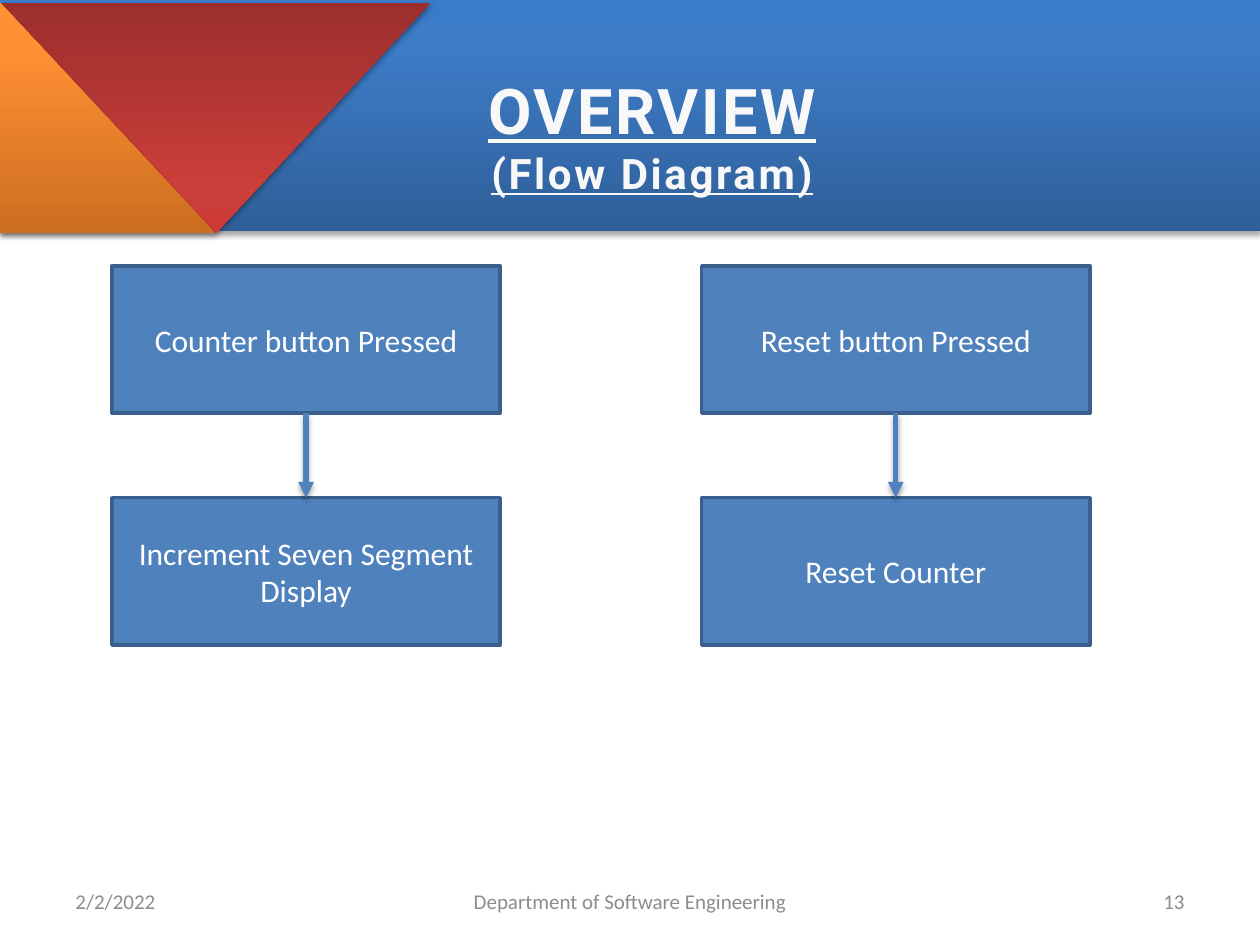
import copy

import lxml.etree
import pptx
import pptx.dml.color
import pptx.enum.shapes
import pptx.enum.text
import pptx.oxml.ns
import pptx.util

Pt = pptx.util.Pt
qn = pptx.oxml.ns.qn
SHAPE = pptx.enum.shapes.MSO_SHAPE
ALIGN = pptx.enum.text.PP_ALIGN
ANCHOR = pptx.enum.text.MSO_ANCHOR

BANNER_H = 131.8
BOX_W, BOX_H = 221.8, 84.2
ROWS = (151.9, 284.4)
FLOWS = (
    (64, ("Counter button Pressed", "Increment Seven Segment Display")),
    (401, ("Reset button Pressed", "Reset Counter")),
)
TITLE_FONT = {"name": "Roboto", "bold": True, "underline": True}
BOX_FONT = {"name": "Calibri", "size": Pt(18)}
FOOTER_FONT = {"name": "Calibri", "size": Pt(12)}


def set_color(target, value):
    target.rgb = pptx.dml.color.RGBColor.from_string(value)


def set_fill(fill, value):
    fill.solid()
    set_color(fill.fore_color, value)


def set_attrs(target, values):
    for name, value in values.items():
        setattr(target, name, value)


def write_run(p, text, font, color, align):
    p.alignment = align
    r = p.add_run()
    r.text = text
    set_attrs(r.font, font)
    set_fill(r.font.fill, color)
    return r


def add_shadow(sp_pr):
    effects = sp_pr.find(qn("a:effectLst"))
    if effects is None:
        effects = lxml.etree.SubElement(sp_pr, qn("a:effectLst"))
    shadow = lxml.etree.SubElement(
        effects, qn("a:outerShdw"), blurRad=str(Pt(3.1)), dist=str(Pt(1.8)),
        dir="5400000", rotWithShape="0")
    color = lxml.etree.SubElement(shadow, qn("a:srgbClr"), val="000000")
    lxml.etree.SubElement(color, qn("a:alpha"), val="35000")


def add_banner_part(s, kind, top, width, colors, rotation=0):
    sp = s.shapes.add_shape(kind, 0, Pt(top), Pt(width), Pt(BANNER_H))
    sp.rotation = rotation
    sp.line.fill.background()
    sp.fill.gradient()
    sp.fill.gradient_angle = 90
    sp_pr = sp._element.spPr
    stops = sp_pr.find(".//" + qn("a:gsLst"))
    stops.insert(1, copy.deepcopy(stops[0]))
    for stop, position, color in zip(sp.fill.gradient_stops, (0, 0.8, 1), colors):
        stop.position = position
        set_color(stop.color, color)
    sp.shadow.inherit = False
    add_shadow(sp_pr)


def add_title(s, lines):
    sp = s.shapes.title
    s.shapes._spTree.append(sp._element)
    set_attrs(sp, {"left": Pt(267.1), "top": Pt(37.4),
                   "width": Pt(211), "height": Pt(79.9)})
    tf = sp.text_frame
    set_attrs(tf, {"word_wrap": False, "vertical_anchor": ANCHOR.TOP,
                   "auto_size": pptx.enum.text.MSO_AUTO_SIZE.SHAPE_TO_FIT_TEXT})
    for i, (text, size) in enumerate(lines):
        p = tf.add_paragraph() if i else tf.paragraphs[0]
        r = write_run(p, text, TITLE_FONT | {"size": Pt(size)}, "F8F8F8", ALIGN.CENTER)
        r._r.get_or_add_rPr().set("spc", "150")


def add_box(s, left, top, text):
    sp = s.shapes.add_shape(SHAPE.FLOWCHART_PROCESS, Pt(left), Pt(top), Pt(BOX_W), Pt(BOX_H))
    sp.shadow.inherit = False
    set_fill(sp.fill, "4F81BD")
    set_fill(sp.line.fill, "3A5F8C")
    sp.line.width = Pt(2)
    tf = sp.text_frame
    set_attrs(tf, {"word_wrap": True, "vertical_anchor": ANCHOR.MIDDLE})
    write_run(tf.paragraphs[0], text, BOX_FONT, "FFFFFF", ALIGN.CENTER)


def add_arrow(s, x, top, bottom):
    sp = s.shapes.add_connector(
        pptx.enum.shapes.MSO_CONNECTOR.STRAIGHT, Pt(x), Pt(top), Pt(x), Pt(bottom))
    set_fill(sp.line.fill, "4F81BD")
    sp.line.width = Pt(3)
    lxml.etree.SubElement(sp.line._get_or_add_ln(), qn("a:tailEnd"), type="triangle")
    add_shadow(sp._element.spPr)


def add_footer(s, left, width, text, align):
    sp = s.shapes.add_textbox(Pt(left), Pt(500.4), Pt(width), Pt(28.8))
    tf = sp.text_frame
    set_attrs(tf, {"word_wrap": True, "vertical_anchor": ANCHOR.MIDDLE})
    write_run(tf.paragraphs[0], text, FOOTER_FONT, "8C8C8C", align)


def main():
    prs = pptx.Presentation()
    set_attrs(prs, {"slide_width": Pt(720), "slide_height": Pt(540)})
    s = prs.slides.add_slide(prs.slide_layouts[5])

    add_banner_part(s, SHAPE.RECTANGLE, 0, 720, ("2F5F99", "3D7CC7", "3A7CCB"))
    add_banner_part(s, SHAPE.ISOSCELES_TRIANGLE, 1.6, 246.2,
                    ("9C2F2D", "CB3E3A", "CE3B37"), 180)
    add_banner_part(s, SHAPE.RIGHT_TRIANGLE, 1.6, 123.1, ("CC6E20", "FF9034", "FF9136"))
    add_title(s, (("OVERVIEW", 36), ("(Flow Diagram)", 24)))

    for left, steps in FLOWS:
        for top, text in zip(ROWS, steps):
            add_box(s, left, top, text)
        add_arrow(s, left + BOX_W / 2, ROWS[0] + BOX_H, ROWS[1])

    add_footer(s, 36, 168, "2/2/2022", ALIGN.LEFT)
    add_footer(s, 246, 228, "Department of Software Engineering", ALIGN.CENTER)
    add_footer(s, 516, 168, "13", ALIGN.RIGHT)
    prs.save("out.pptx")


if __name__ == "__main__":
    main()
